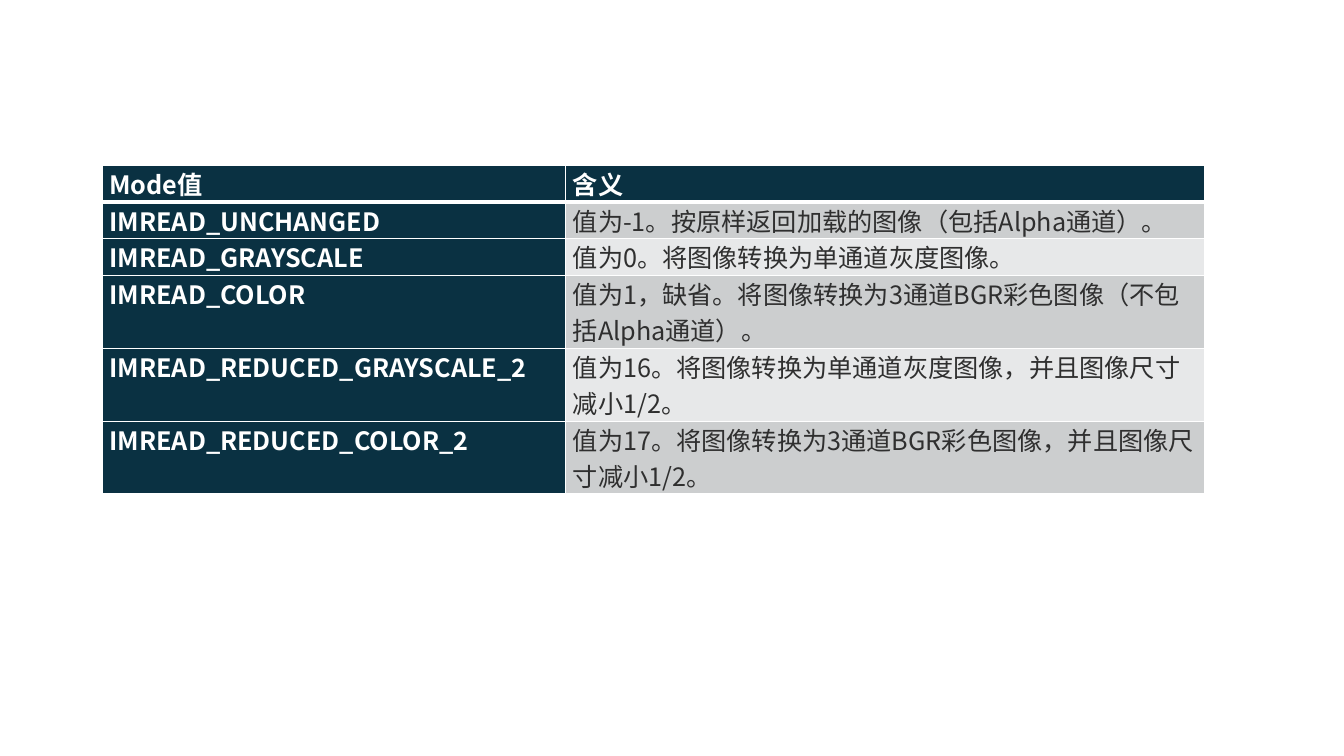
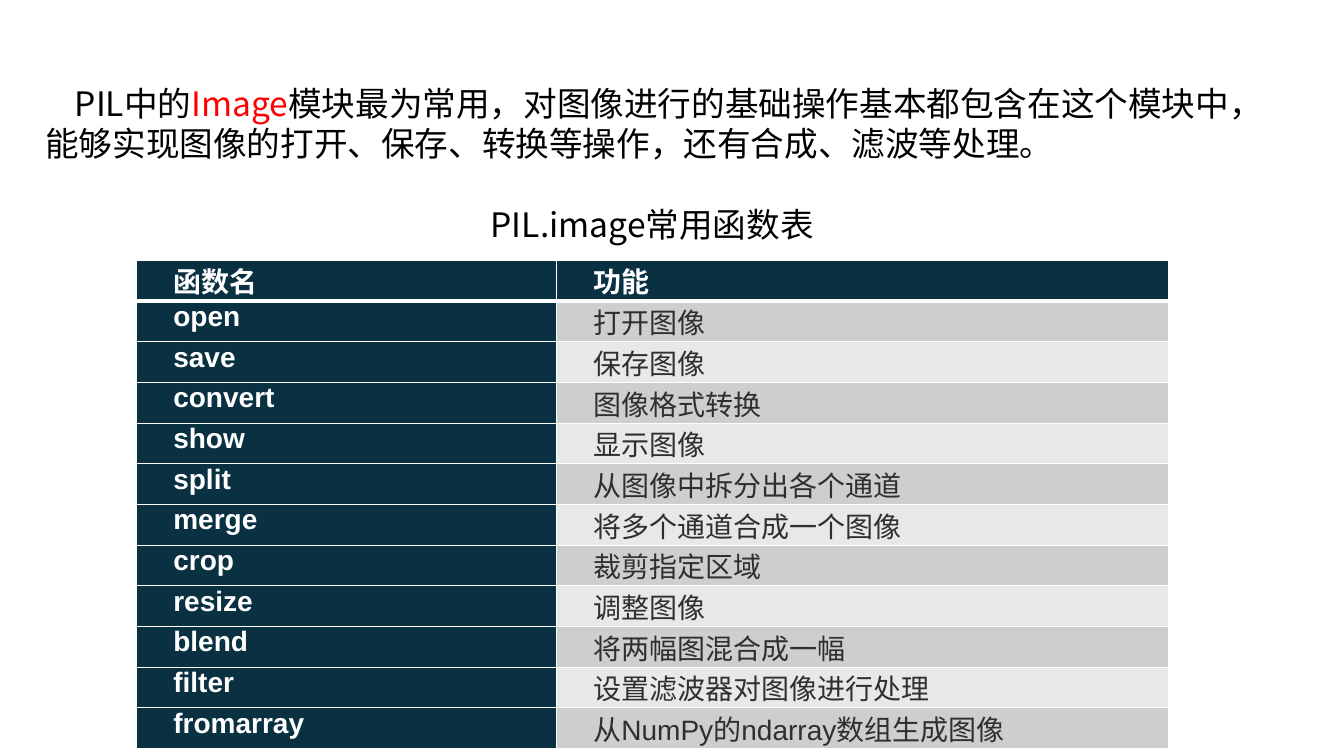
from dataclasses import dataclass

from lxml import etree
from pptx import Presentation
from pptx.dml.color import RGBColor
from pptx.enum.text import MSO_ANCHOR, MSO_AUTO_SIZE, PP_ALIGN
from pptx.oxml.ns import qn
from pptx.util import Pt

LEFT, CENTER, JUSTIFY = PP_ALIGN.LEFT, PP_ALIGN.CENTER, PP_ALIGN.JUSTIFY
MIDDLE, NO_AUTOFIT = MSO_ANCHOR.MIDDLE, MSO_AUTO_SIZE.NONE
CONTENT_LAYOUT, BLANK_LAYOUT = 1, 6


@dataclass(frozen=True)
class Theme:
    navy: str = "0A3142"
    bands: tuple = ("CCCECF", "E7E8E9")
    white: str = "FFFFFF"
    ink: str = "2F2F2F"
    black: str = "000000"
    red: str = "FF0000"
    cjk_font: str = "Noto Sans CJK SC"
    latin_font: str = "Arial"
    mode_size: float = 18
    function_size: float = 20
    body_size: float = 24
    body_leading: float = 28.8
    indent: float = 21
    cell_inset: float = 5.4
    rule: float = 1
    header_rule: float = 3


THEME = Theme()

MODE_ROWS = [
    ("Mode值", "含义"),
    ("IMREAD_UNCHANGED", "值为-1。按原样返回加载的图像（包括Alpha通道）。"),
    ("IMREAD_GRAYSCALE", "值为0。将图像转换为单通道灰度图像。"),
    ("IMREAD_COLOR", "值为1，缺省。将图像转换为3通道BGR彩色图像（不包括Alpha通道）。"),
    ("IMREAD_REDUCED_GRAYSCALE_2", "值为16。将图像转换为单通道灰度图像，并且图像尺寸减小1/2。"),
    ("IMREAD_REDUCED_COLOR_2", "值为17。将图像转换为3通道BGR彩色图像，并且图像尺寸减小1/2。"),
]
MODE_TABLE = {
    "left": 72.8, "top": 118.3, "widths": (331, 456.6),
    "heights": [26] * 3 + [52] * 3,
    "size": THEME.mode_size, "font": THEME.cjk_font,
    "alignment": LEFT, "indent": 0,
}

FUNCTION_ROWS = [
    ("函数名", "功能"),
    ("open", "打开图像"),
    ("save", "保存图像"),
    ("convert", "图像格式转换"),
    ("show", "显示图像"),
    ("split", "从图像中拆分出各个通道"),
    ("merge", "将多个通道合成一个图像"),
    ("crop", "裁剪指定区域"),
    ("resize", "调整图像"),
    ("blend", "将两幅图混合成一幅"),
    ("filter", "设置滤波器对图像进行处理"),
    ("fromarray", "从NumPy的ndarray数组生成图像"),
]
FUNCTION_TABLE = {
    "left": 97.4, "top": 186, "widths": (300, 437),
    "heights": [29] * len(FUNCTION_ROWS),
    "size": THEME.function_size, "font": THEME.latin_font,
    "alignment": JUSTIFY, "indent": THEME.indent,
}

INTRO = [
    ("PIL中的", THEME.black),
    ("Image", THEME.red),
    ("模块最为常用，对图像进行的基础操作基本都包含在这个模块中，"
     "能够实现图像的打开、保存、转换等操作，还有合成、滤波等处理。", THEME.black),
]
CAPTION = [("PIL.image常用函数表", THEME.black)]
BODY_BOX = {"left": 25.2, "top": 54.7, "width": 860.4, "height": 123.8}


def set_attributes(target, values):
    for name, value in values.items():
        setattr(target, name, value)


def add_run(paragraph, text, size, font_name, color, bold=False):
    run = paragraph.add_run()
    run.text = text
    set_attributes(run.font, {"size": Pt(size), "name": font_name, "bold": bold})
    run.font.color.rgb = RGBColor.from_string(color)
    east_asian = etree.SubElement(run.font._element, qn("a:ea"))
    east_asian.set("typeface", THEME.cjk_font)


def set_indent(paragraph, indent):
    properties = paragraph._p.get_or_add_pPr()
    properties.set("marL", "0")
    properties.set("indent", str(Pt(indent)))
    return properties


def add_borders(cell, widths):
    properties = cell._tc.get_or_add_tcPr()
    for side, width in widths.items():
        line = etree.SubElement(properties, qn(f"a:ln{side}"), w=str(Pt(width)))
        fill = etree.SubElement(line, qn("a:solidFill"))
        etree.SubElement(fill, qn("a:srgbClr"), val=THEME.white)


def format_cell(cell, text, row, column, style):
    dark = row == 0 or column == 0
    add_borders(cell, {
        "L": THEME.rule,
        "R": THEME.rule,
        "T": THEME.header_rule if row == 1 else THEME.rule,
        "B": THEME.header_rule if row == 0 else THEME.rule,
    })
    cell.fill.solid()
    fill = THEME.navy if dark else THEME.bands[(row - 1) % 2]
    cell.fill.fore_color.rgb = RGBColor.from_string(fill)
    set_attributes(cell, {
        "margin_left": Pt(THEME.cell_inset), "margin_right": Pt(THEME.cell_inset),
        "margin_top": 0, "margin_bottom": 0,
    })
    paragraph = cell.text_frame.paragraphs[0]
    paragraph.alignment = style["alignment"]
    set_indent(paragraph, style["indent"])
    add_run(paragraph, text, style["size"], style["font"],
            THEME.white if dark else THEME.ink, bold=dark)


def add_reference_table(slide, rows, style):
    widths, heights = style["widths"], style["heights"]
    frame = slide.shapes.add_table(
        len(rows), len(widths), Pt(style["left"]), Pt(style["top"]),
        Pt(sum(widths)), Pt(sum(heights)))
    table = frame.table
    set_attributes(table, {"first_row": False, "horz_banding": False})
    for column, width in zip(table.columns, widths):
        column.width = Pt(width)
    for row, height in zip(table.rows, heights):
        row.height = Pt(height)
    for row, texts in enumerate(rows):
        for column, text in enumerate(texts):
            format_cell(table.cell(row, column), text, row, column, style)


def fill_body(body):
    set_attributes(body, {name: Pt(value) for name, value in BODY_BOX.items()})
    frame = body.text_frame
    set_attributes(frame, {"word_wrap": True, "auto_size": NO_AUTOFIT,
                           "vertical_anchor": MIDDLE})
    paragraphs = [
        (frame.paragraphs[0], INTRO, LEFT, 0),
        (frame.add_paragraph(), CAPTION, CENTER, THEME.body_leading),
    ]
    for paragraph, runs, alignment, space_before in paragraphs:
        properties = set_indent(paragraph, THEME.indent)
        etree.SubElement(properties, qn("a:buNone"))
        set_attributes(paragraph, {
            "alignment": alignment, "line_spacing": Pt(THEME.body_leading),
            "space_before": Pt(space_before), "space_after": Pt(0),
        })
        for text, color in runs:
            add_run(paragraph, text, THEME.body_size, THEME.cjk_font, color)


def main():
    presentation = Presentation()
    set_attributes(presentation, {"slide_width": Pt(960), "slide_height": Pt(540)})
    layouts = presentation.slide_layouts

    mode_slide = presentation.slides.add_slide(layouts[BLANK_LAYOUT])
    add_reference_table(mode_slide, MODE_ROWS, MODE_TABLE)

    function_slide = presentation.slides.add_slide(layouts[CONTENT_LAYOUT])
    title = function_slide.shapes.title._element
    title.getparent().remove(title)
    fill_body(function_slide.placeholders[1])
    add_reference_table(function_slide, FUNCTION_ROWS, FUNCTION_TABLE)

    presentation.save("out.pptx")


if __name__ == "__main__":
    main()
